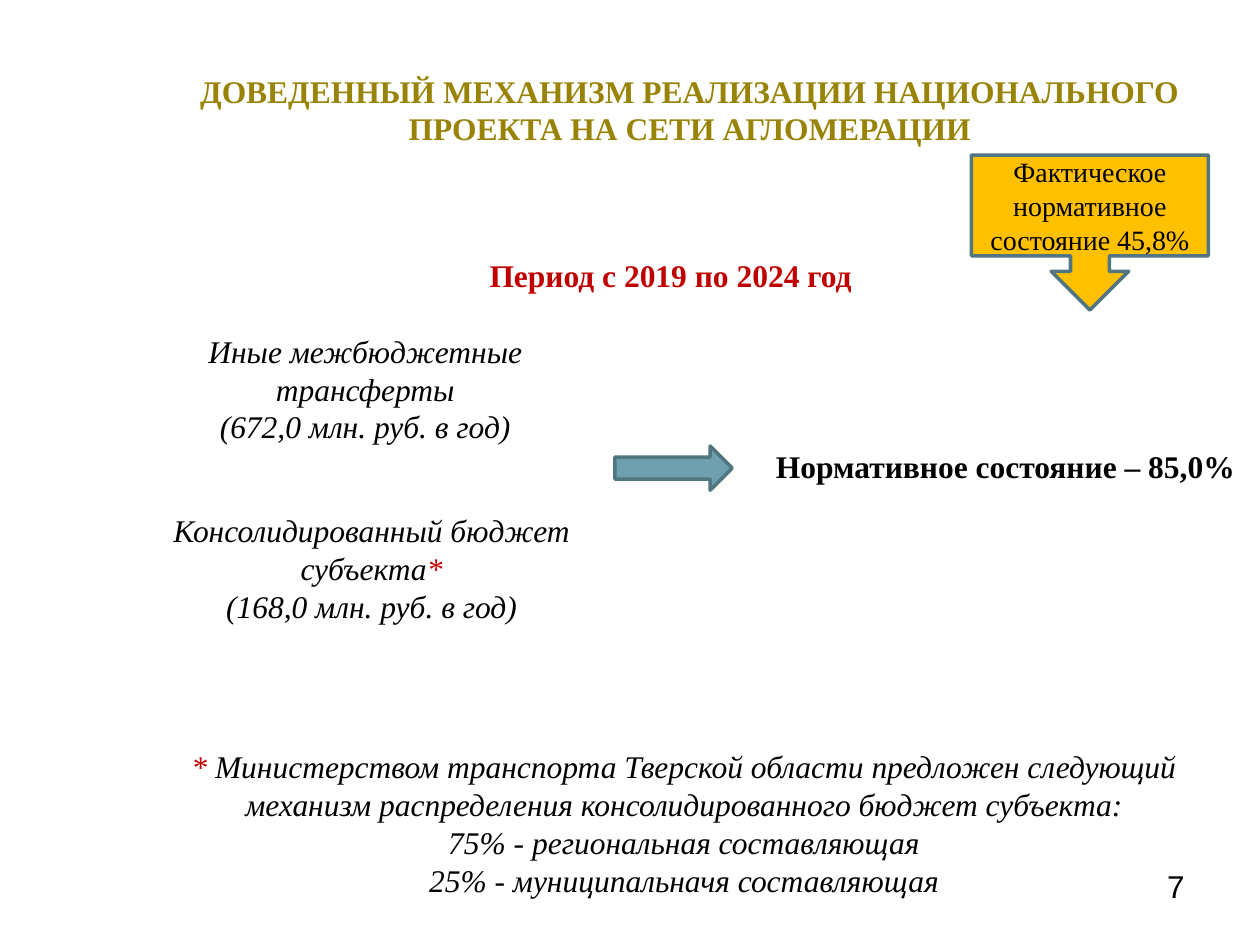
from dataclasses import dataclass

from pptx import Presentation
from pptx.dml.color import RGBColor
from pptx.enum import shapes, text
from pptx.util import Pt

SERIF = "Times New Roman"
BLACK, RED, GOLD = "000000", "C00000", "998307"
AMBER, TEAL, DARK_TEAL = "FFC000", "6EA0B0", "517682"
CENTER, LEFT, RIGHT = text.PP_ALIGN.CENTER, text.PP_ALIGN.LEFT, text.PP_ALIGN.RIGHT


@dataclass(frozen=True)
class Span:
    text: str
    color: str = BLACK


@dataclass(frozen=True)
class Box:
    """Place in points, with the paragraphs as tuples of spans."""
    left: float
    top: float
    width: float
    height: float
    paragraphs: tuple[tuple[Span, ...], ...] = ()
    size: float = 18
    font: str = SERIF
    bold: bool = False
    italic: bool = False
    align: text.PP_ALIGN = CENTER

    def place(self) -> tuple[Pt, ...]:
        return tuple(Pt(v) for v in (self.left, self.top, self.width, self.height))


def rgb(color: str) -> RGBColor:
    return RGBColor.from_string(color)


def write(frame, box: Box) -> None:
    frame.word_wrap = True
    for index, spans in enumerate(box.paragraphs):
        paragraph = frame.add_paragraph() if index else frame.paragraphs[0]
        paragraph.alignment = box.align
        font = paragraph.font
        font.name, font.size = box.font, Pt(box.size)
        font.bold, font.italic = box.bold, box.italic
        for span in spans:
            run = paragraph.add_run()
            run.text = span.text
            run.font.color.rgb = rgb(span.color)


def add_text(slide, box: Box) -> None:
    write(slide.shapes.add_textbox(*box.place()).text_frame, box)


def add_arrow(slide, kind: shapes.MSO_SHAPE, fill: str, box: Box) -> None:
    arrow = slide.shapes.add_shape(kind, *box.place())
    arrow.shadow.inherit = False
    arrow.fill.solid()
    arrow.fill.fore_color.rgb = rgb(fill)
    arrow.line.color.rgb = rgb(DARK_TEAL)
    arrow.line.width = Pt(2)
    arrow.text_frame.vertical_anchor = text.MSO_ANCHOR.MIDDLE
    write(arrow.text_frame, box)


deck = Presentation()
deck.slide_width, deck.slide_height = Pt(720), Pt(540)
slide = deck.slides.add_slide(deck.slide_layouts[5])

# Heading
heading = Box(68.4, 32, 651.6, 61, bold=True, paragraphs=(
    (Span("ДОВЕДЕННЫЙ МЕХАНИЗМ РЕАЛИЗАЦИИ НАЦИОНАЛЬНОГО ПРОЕКТА НА СЕТИ АГЛОМЕРАЦИИ", GOLD),),))
title = slide.shapes.title
title.left, title.top, title.width, title.height = heading.place()
title.text_frame.auto_size = text.MSO_AUTO_SIZE.NONE
title.text_frame.vertical_anchor = text.MSO_ANCHOR.MIDDLE
write(title.text_frame, heading)

# Period, funding sources, result, footnote and page number
period = Box(82, 142.5, 602.6, 29, bold=True,
             paragraphs=((Span("Период с 2019 по 2024 год", RED),),))
transfers = Box(80.6, 186, 256.3, 73, italic=True, paragraphs=(
    (Span("Иные межбюджетные трансферты"),),
    (Span("(672,0 млн. руб. в год)"),)))
regional_budget = Box(84.2, 288.7, 256.3, 73, italic=True, paragraphs=(
    (Span("Консолидированный бюджет субъекта"), Span("*", RED)),
    (Span("(168,0 млн. руб. в год)"),)))
result = Box(436.3, 252, 283.7, 29, bold=True, align=LEFT,
             paragraphs=((Span("Нормативное состояние – 85,0%"),),))
footnote = Box(94.3, 423.4, 593.3, 116.6, italic=True, paragraphs=(
    (Span("* ", RED),
     Span("Министерством транспорта Тверской области предложен следующий "
          "механизм распределения консолидированного бюджет субъекта:")),
    (Span("75% - региональная составляющая"),),
    (Span("25% - муниципальначя составляющая"),)))
page_number = Box(516.2, 491.8, 167.8, 37.4, font="Arial", align=RIGHT,
                  paragraphs=((Span("7"),),))
for box in (footnote, period, transfers, result, regional_budget, page_number):
    add_text(slide, box)

# Arrow from funding to result, and callout with the current state
add_arrow(slide, shapes.MSO_SHAPE.RIGHT_ARROW, TEAL, Box(351.4, 254.9, 67, 25.2))
add_arrow(slide, shapes.MSO_SHAPE.DOWN_ARROW_CALLOUT, AMBER,
          Box(555.1, 88.6, 135.4, 88.6, size=16,
              paragraphs=((Span("Фактическое нормативное состояние 45,8%"),),)))

deck.save("out.pptx")
